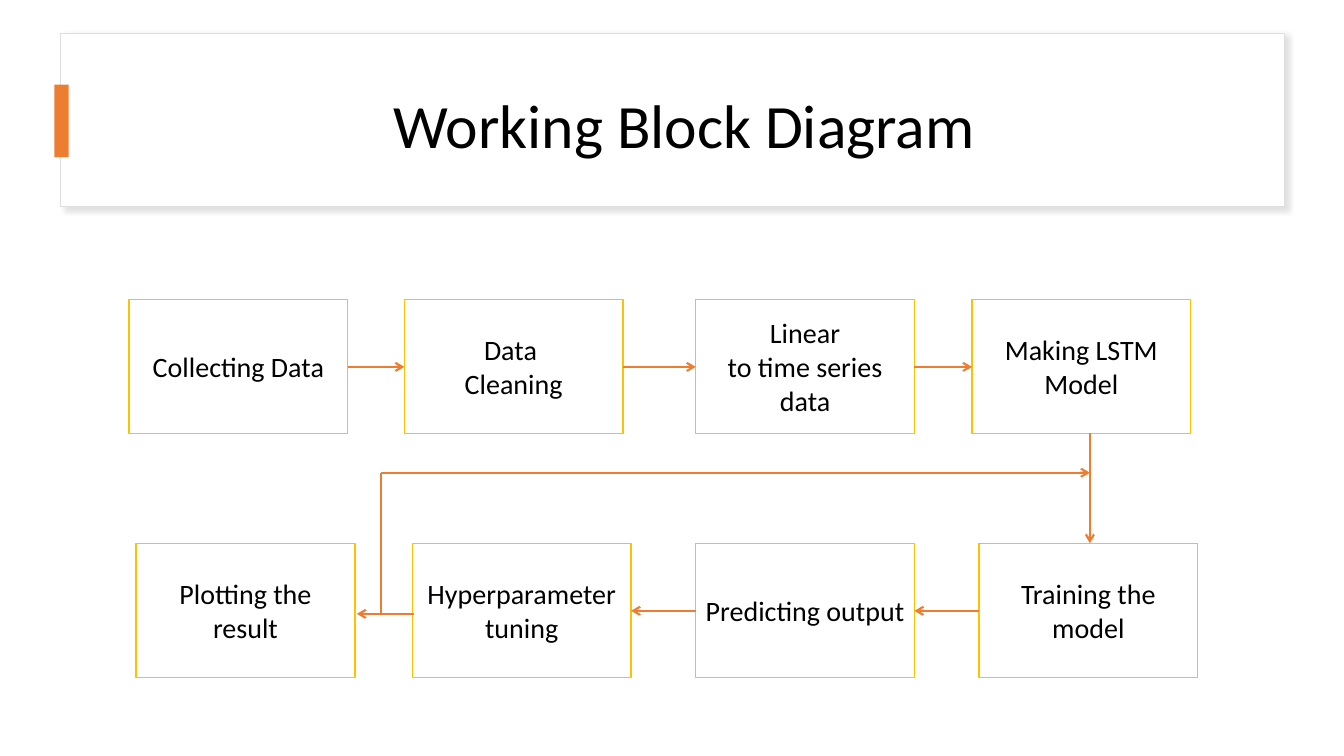
from lxml import etree
from pptx import Presentation
from pptx import util as u
from pptx.dml.color import RGBColor
from pptx.enum import shapes, text
from pptx.oxml import parse_xml
from pptx.oxml.ns import nsdecls, qn

WHITE = RGBColor(0xFF, 0xFF, 0xFF)
BLACK = RGBColor(0, 0, 0)
GREY = RGBColor(0xDE, 0xDE, 0xDE)
ORANGE = RGBColor(0xED, 0x7D, 0x31)
GOLD = RGBColor(0xFF, 0xC0, 0x00)
SHADOW = RGBColor(0xC5, 0xC3, 0xC3)

BOX_W, BOX_H = 2.17, 1.33
TOP_Y, BOTTOM_Y = 2.97, 5.39
TOP_MID, BOTTOM_MID = 3.64, 6.06
TOP_STEPS = [
    (1.28, "Collecting Data"),
    (4.01, "Data \nCleaning"),
    (6.9, "Linear\nto time series data"),
    (9.64, "Making LSTM Model"),
]
BOTTOM_STEPS = [
    (1.35, "Plotting the result"),
    (4.09, "Hyperparameter\ntuning"),
    (6.9, "Predicting output"),
    (9.71, "Training the model"),
]
DOWN_X = 10.81
LOOP_X, LOOP_Y, PLOT_Y = 3.78, 4.69, 6.09


class Diagram:
    font = "Calibri"

    def __init__(self, slide):
        self.s = slide

    def label(self, sp, words, size, spacing=None):
        tf = sp.text_frame
        tf.word_wrap = True
        tf.vertical_anchor = text.MSO_ANCHOR.MIDDLE
        tf.text = words
        for p in tf.paragraphs:
            p.alignment = text.PP_ALIGN.CENTER
            p.line_spacing = spacing
            p.font.name = self.font
            p.font.size = u.Pt(size)
            p.font.color.rgb = BLACK

    def rect(self, x, y, w, h, fill, line=None):
        sp = self.s.shapes.add_shape(
            shapes.MSO_SHAPE.RECTANGLE, *map(u.Inches, (x, y, w, h)))
        sp.shadow.inherit = False
        sp.fill.solid()
        sp.fill.fore_color.rgb = fill
        if line is None:
            sp.line.fill.background()
        else:
            sp.line.color.rgb = line
            sp.line.width = u.Pt(1)
        return sp

    def cast_shadow(self, sp):
        effects = sp._element.spPr.find(qn("a:effectLst"))
        effects.append(parse_xml(
            f'<a:outerShdw {nsdecls("a")} blurRad="{u.Pt(4)}" '
            f'dist="{u.Pt(3)}" dir="2700000" algn="tl" rotWithShape="0">'
            f'<a:srgbClr val="{SHADOW}"><a:alpha val="50000"/></a:srgbClr>'
            f'</a:outerShdw>'))

    def title(self, words, x, y, w, h):
        sp = self.s.shapes.add_textbox(*map(u.Inches, (x, y, w, h)))
        self.label(sp, words, 44, 0.9)

    def step(self, x, y, words):
        self.label(self.rect(x, y, BOX_W, BOX_H, WHITE, GOLD), words, 20)

    def line(self, x1, y1, x2, y2, arrow=True):
        c = self.s.shapes.add_connector(
            shapes.MSO_CONNECTOR.STRAIGHT, *map(u.Inches, (x1, y1, x2, y2)))
        c.line.color.rgb = ORANGE
        c.line.width = u.Pt(1.5)
        spPr = c._element.spPr
        if arrow:
            etree.SubElement(spPr.find(qn("a:ln")), qn("a:tailEnd"), type="arrow")
        etree.SubElement(spPr, qn("a:effectLst"))


def main():
    prs = Presentation()
    prs.slide_width, prs.slide_height = u.Inches(13.33), u.Inches(7.5)
    d = Diagram(prs.slides.add_slide(prs.slide_layouts[6]))

    d.cast_shadow(d.rect(0.6, 0.33, 12.14, 1.72, WHITE, GREY))
    d.rect(0.54, 0.84, 0.14, 0.72, ORANGE)
    d.title("Working Block Diagram", 1.04, 0.55, 11.5, 1.45)

    for y, steps in ((TOP_Y, TOP_STEPS), (BOTTOM_Y, BOTTOM_STEPS)):
        for x, words in steps:
            d.step(x, y, words)

    for (left, _), (right, _) in zip(TOP_STEPS, TOP_STEPS[1:]):
        d.line(left + BOX_W, TOP_MID, right, TOP_MID)
    d.line(DOWN_X, TOP_Y + BOX_H, DOWN_X, BOTTOM_Y)
    for (left, _), (right, _) in zip(BOTTOM_STEPS[1:], BOTTOM_STEPS[2:]):
        d.line(right, BOTTOM_MID, left + BOX_W, BOTTOM_MID)
    d.line(4.11, PLOT_Y, 3.54, PLOT_Y)
    d.line(LOOP_X, PLOT_Y, LOOP_X, LOOP_Y, arrow=False)
    d.line(LOOP_X, LOOP_Y, DOWN_X, LOOP_Y)

    prs.save("out.pptx")


if __name__ == "__main__":
    main()
